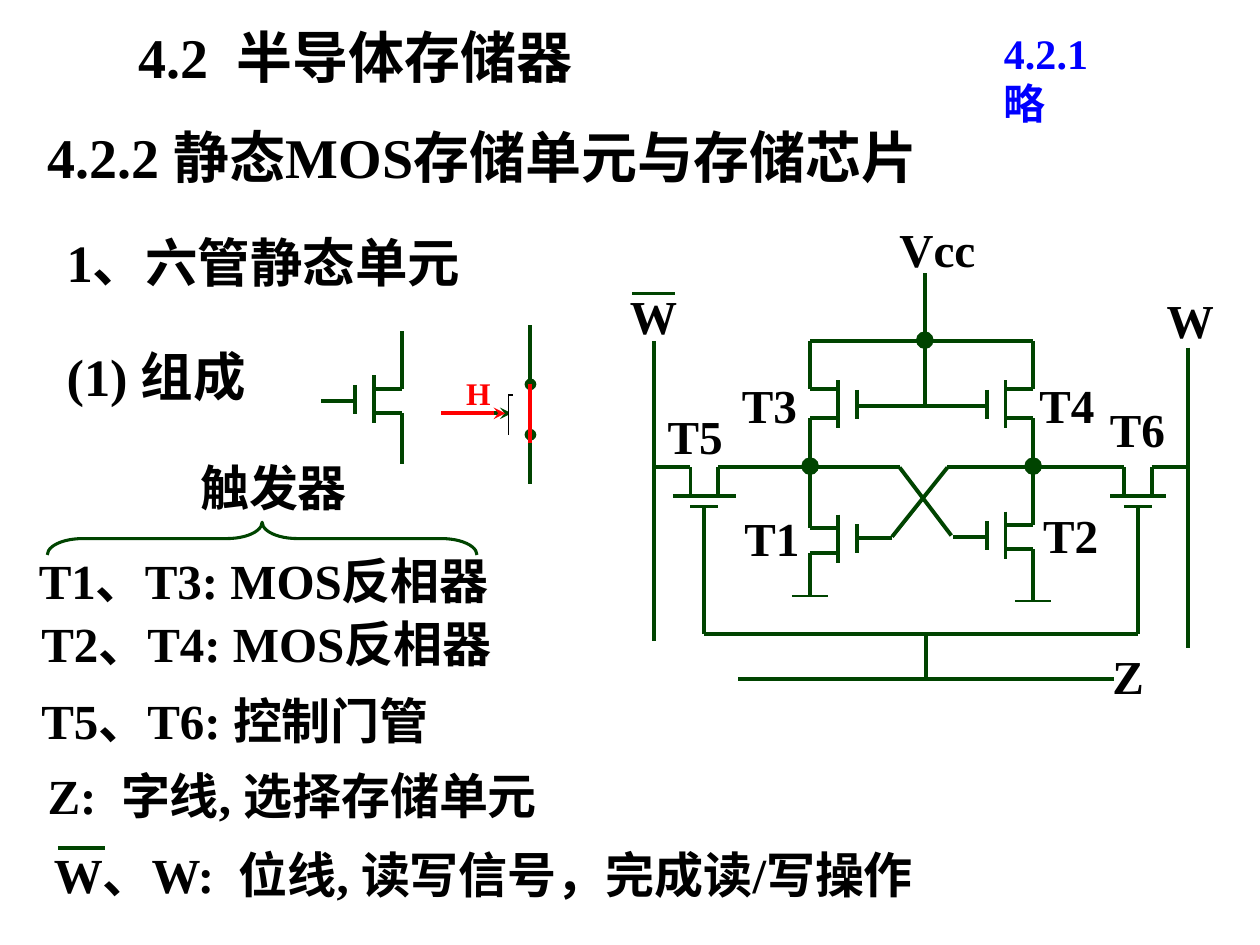
from dataclasses import dataclass

from lxml.etree import SubElement
from pptx import Presentation
from pptx.dml.color import RGBColor
from pptx.enum.shapes import MSO_CONNECTOR, MSO_SHAPE
from pptx.oxml.ns import qn
from pptx.util import Inches, Pt


@dataclass(frozen=True)
class Theme:
    ink: str = "000000"
    wire: str = "004400"
    note: str = "0000FF"
    signal: str = "FF0000"
    paper: str = "FFFFFF"
    latin: str = "Times New Roman"
    asian: str = "Noto Sans CJK SC"
    title: int = 32
    heading: int = 30
    body: int = 28
    label: int = 27
    aside: int = 24
    small: int = 18
    thin: float = 1.5
    medium: float = 1.75
    normal: float = 2.25
    thick: float = 3


T = Theme()
COLS, ROWS = 100, 75  # square grid over the slide
W, H = Inches(10), Inches(7.5)


def col(n):
    return round(W * n / COLS)


def row(n):
    return round(H * n / ROWS)


def add_text(s, text, x, y, w, h, size, color=T.ink):
    tf = s.shapes.add_textbox(col(x), row(y), col(w), row(h)).text_frame
    tf.word_wrap = True
    tf.text = text
    for r in tf.paragraphs[0].runs:
        r.font.size = Pt(size)
        r.font.bold = True
        r.font.name = T.latin
        r.font.color.rgb = RGBColor.from_string(color)
        SubElement(r._r.get_or_add_rPr(), qn("a:ea")).set("typeface", T.asian)


def add_line(s, x1, y1, x2, y2, width=T.normal, color=T.wire, head=None, tail=None):
    c = s.shapes.add_connector(MSO_CONNECTOR.STRAIGHT, col(x1), row(y1), col(x2), row(y2))
    c.line.width = Pt(width)
    c.line.color.rgb = RGBColor.from_string(color)
    for tag, end in (("a:headEnd", head), ("a:tailEnd", tail)):
        if end:
            SubElement(c.line._get_or_add_ln(), qn(tag)).set("type", end)
    SubElement(c._element.spPr, qn("a:effectLst"))


def add_lines(s, lines):
    for ends in lines:
        add_line(s, *ends)


def add_node(s, x, y, d=1.4):
    sp = s.shapes.add_shape(MSO_SHAPE.OVAL, col(x - d / 2), row(y - d / 2), col(d), row(d))
    sp.shadow.inherit = False
    sp.fill.solid()
    sp.fill.fore_color.rgb = RGBColor.from_string(T.wire)
    sp.line.fill.background()


def add_brace(s, cx, cy, span, depth):
    sp = s.shapes.add_shape(MSO_SHAPE.LEFT_BRACE, col(cx - depth / 2), row(cy - span / 2),
                            col(depth), row(span))
    sp.rotation = 90
    sp.adjustments[0] = 1.08
    sp.shadow.inherit = False
    sp.fill.background()
    sp.line.width = Pt(T.medium)
    sp.line.color.rgb = RGBColor.from_string(T.wire)


def add_upright_mos(s, x, cy, side, top, upper, lower, bottom):
    """Leads on column x; channel and gate lie towards side (1 right, -1 left)."""
    channel, gate = x + 2.2 * side, x + 3.7 * side
    add_lines(s, [
        (x, top, x, upper), (x, upper, channel, upper),
        (x, lower, channel, lower), (x, lower, x, bottom),
        (channel, cy - 1.9, channel, cy + 1.9),
        (gate, cy - 1.15, gate, cy + 1.15)])


def add_pass_mos(s, cx, y, half, gate_end):
    """Channel lies flat under the two leads, gate wire runs down."""
    add_lines(s, [
        (cx - 1.1, y, cx - 1.1, y + 2.3), (cx + 1.1, y, cx + 1.1, y + 2.3),
        (cx - half, y + 2.3, cx + half, y + 2.3),
        (cx - 1.1, y + 3.1, cx + 1.1, y + 3.1),
        (cx, y + 3.1, cx, gate_end)])


def add_wording(s):
    for text, x, y, w, h, size in [
            ("4.2  半导体存储器", 10, 1.3, 39.2, 6.4, T.title),
            ("4.2.2 静态MOS存储单元与存储芯片", 2.8, 9.2, 81.1, 6.4, T.title),
            ("1、六管静态单元", 4.3, 17.8, 37.7, 6, T.heading),
            ("(1) 组成", 4.3, 26.8, 22, 6, T.heading),
            ("触发器", 14.9, 35.8, 19, 5.7, T.body),
            ("T1、T3: MOS反相器", 2.1, 43.2, 41.7, 5.7, T.body),
            ("T2、T4: MOS反相器", 2.3, 48.2, 48.3, 5.7, T.body),
            ("T5、T6: 控制门管", 2.3, 54.3, 42.5, 5.7, T.body),
            ("Z:  字线, 选择存储单元", 2.8, 60.3, 50.7, 5.7, T.body),
            ("W、W:  位线, 读写信号，完成读/写操作", 3.3, 66.5, 92.3, 6.8, T.body)]:
        add_text(s, text, x, y, w, h, size)
    add_text(s, "4.2.1  略", 78.7, 1.7, 11, 8.4, T.aside, T.note)
    add_line(s, 4.6, 67.3, 8.3, 67.3, T.medium)
    add_brace(s, 20.8, 42.75, 34.1, 2.6)


def add_switch_model(s):
    # Single transistor
    add_upright_mos(s, 31.9, 31.7, -1, 26.3, 30.9, 32.8, 36.8)
    add_line(s, 28.3, 31.8, 25.5, 31.8)
    # Equivalent switch, closed by a high level
    x, y = 42.1, 32.8
    add_line(s, x, 25.8, x, 30.5, tail="oval")
    add_line(s, x, 34.5, x, 38.4, head="oval")
    add_line(s, 40.6, y, 35.4, y, head="stealth")
    add_line(s, 40.5, 31.3, 40.5, 34.5, T.thick, T.ink)
    add_line(s, 40.1, y, 35, y, color=T.signal, head="stealth")
    add_line(s, x, 35.2, x, 30.5, color=T.signal)
    add_text(s, "H", 36, 29.2, 3.9, 4, T.small, T.signal)
    add_line(s, 40.6, 31.4, 40.6, 34.6, T.thick, T.paper)


def add_cell_circuit(s):
    left, right, supply, mid = 64.3, 82, 27.1, 37.1
    vcc, bit_l, bit_r, t5, t6, gate_rail, word = 73.4, 51.9, 94.3, 55.9, 90.3, 50.3, 53.9
    # Six transistors
    add_upright_mos(s, left, 32.1, 1, supply, 30.9, 33.2, mid)
    add_upright_mos(s, right, 32.1, -1, supply, 30.9, 33.2, mid)
    add_upright_mos(s, left, 42.75, 1, mid, 41.9, 43.9, 47.2)
    add_upright_mos(s, right, 42.5, -1, mid, 41.7, 43.6, 47.7)
    add_pass_mos(s, t5, mid, 2.5, gate_rail)
    add_pass_mos(s, t6, mid, 2.2, gate_rail)
    # Supply, cross coupling, bit lines and word line
    add_lines(s, [
        (left, supply, right, supply), (vcc, 21.7, vcc, 32.2), (68.1, 32.2, 78.4, 32.2),
        (left, mid, 71.4, mid), (71.4, mid, 75.5, 42.5), (75.6, 42.6, 78.5, 42.6),
        (right, mid, 75.2, mid), (75.2, mid, 70.8, 42.6), (70.8, 42.7, 68.2, 42.7),
        (bit_l, mid, t5 - 1.1, mid), (t5 + 1.1, mid, left, mid),
        (right, mid, t6 - 1.1, mid), (t6 + 1.1, mid, bit_r, mid),
        (bit_l, supply, bit_l, 50.9), (bit_r, 27.6, bit_r, 51.4),
        (t5, gate_rail, t6, gate_rail), (73.5, gate_rail, 73.5, word),
        (58.6, word, 88.4, word)])
    # Ground bars and the bar over W
    for x, y in ((left, 47.3), (right, 47.7)):
        add_line(s, x - 1.45, y, x + 1.45, y, T.thin)
    add_line(s, 50.2, 23.3, 53.6, 23.3, T.medium)
    for x, y in ((vcc, supply - 0.1), (left, mid - 0.1), (right, mid - 0.1)):
        add_node(s, x, y)
    # Labels
    for text, x, y in [
            ("Vcc", 70.4, 17), ("T3", 57.9, 29.4), ("T4", 81.5, 29.4),
            ("T1", 58.1, 39.9), ("T2", 81.8, 39.7), ("T5", 52, 31.8),
            ("T6", 87.1, 31.3), ("Z", 87.3, 50.9), ("W", 49, 22.3), ("W", 91.6, 22.6)]:
        add_text(s, text, x, y, 9.9 if text == "Vcc" else 7.1, 5.5, T.label)


def main():
    prs = Presentation()
    prs.slide_width, prs.slide_height = W, H
    s = prs.slides.add_slide(prs.slide_layouts[6])
    add_wording(s)
    add_cell_circuit(s)
    add_switch_model(s)
    prs.save("out.pptx")


main()
